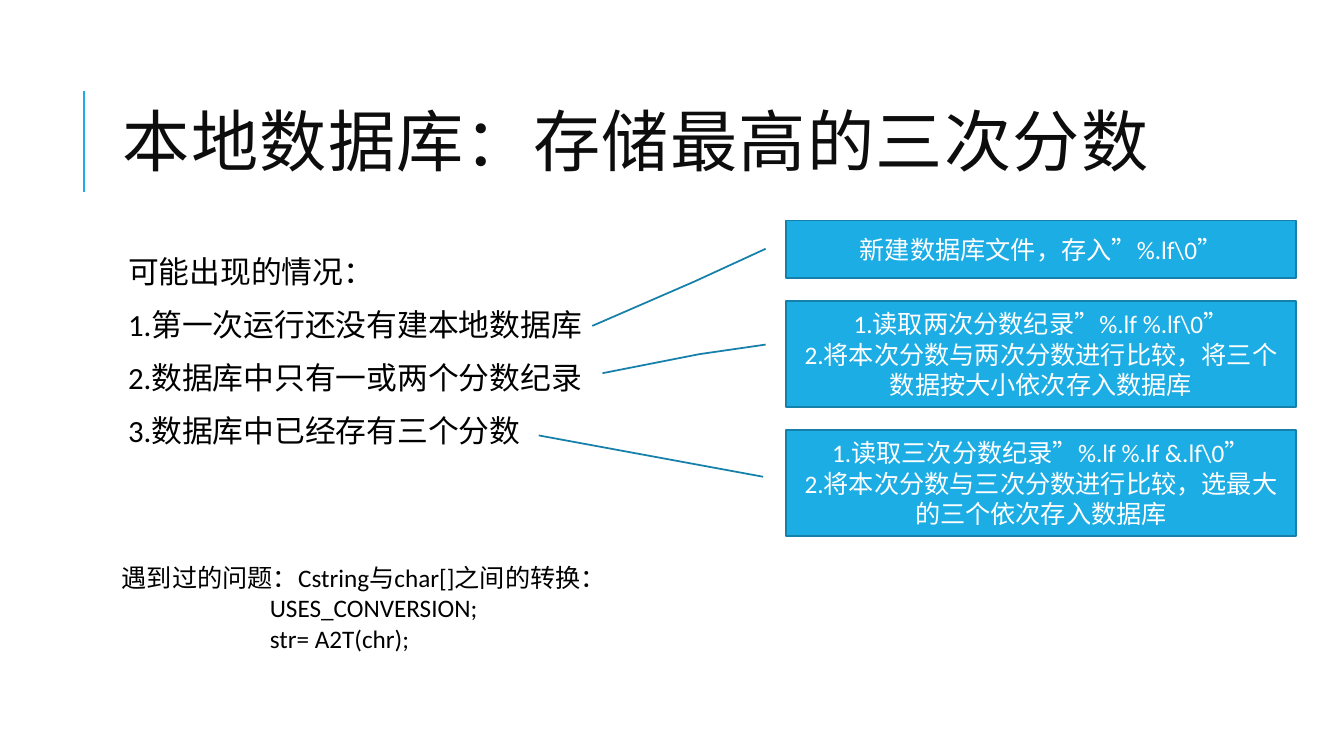
from dataclasses import dataclass
from typing import Any

from pptx import Presentation
from pptx import util as u
from pptx.dml.color import RGBColor
from pptx.enum import shapes, text
from pptx.oxml import parse_xml

FONT = "Calibri"
SKY = RGBColor(0x1C, 0xAD, 0xE4)
DEEP_SKY = RGBColor(0x15, 0x80, 0xA9)
INK = RGBColor(0x0D, 0x0D, 0x0D)
BLACK = RGBColor(0, 0, 0)
WHITE = RGBColor(0xFF, 0xFF, 0xFF)

ANSWER_LEFT, ANSWER_TOP, ANSWER_WIDTH, ANSWER_GAP = 19.81, 5.56, 12.85, 0.58
CODE_INDENT = 3.73
EMPTY_EFFECTS = (
    '<a:effectLst xmlns:a="http://schemas.openxmlformats.org/drawingml/2006/main"/>'
)


@dataclass(frozen=True)
class Style:
    size: float
    color: RGBColor
    paragraph: dict[str, Any]


@dataclass(frozen=True)
class Block:
    left: float
    top: float
    width: float
    height: float
    lines: list[str]
    style: Style
    frame: dict[str, Any]


@dataclass(frozen=True)
class Answer:
    height: float
    preset: shapes.MSO_SHAPE
    pointer: list[float]
    lines: list[str]


TITLE_STYLE = Style(48, INK, {"line_spacing": 0.8})
CASE_STYLE = Style(22, BLACK, {
    "line_spacing": 0.9, "space_before": u.Pt(12), "space_after": u.Pt(2)})
ISSUE_STYLE = Style(18, BLACK, {})
ANSWER_STYLE = Style(18, WHITE, {"alignment": text.PP_ALIGN.CENTER})

MIDDLE = {"word_wrap": True, "vertical_anchor": text.MSO_ANCHOR.MIDDLE}
# The left inset includes the hanging indent of the list
CASE_FRAME = {"word_wrap": True, "margin_left": u.Cm(0.39), "margin_right": u.Cm(0.13),
              "margin_top": u.Cm(0.13), "margin_bottom": u.Cm(0.13)}

TITLE = Block(2.84, 1.63, 27, 4.17, ["本地数据库：存储最高的三次分数"], TITLE_STYLE, MIDDLE)
CASES = Block(2.84, 6.35, 12.22, 5.38, [
    "可能出现的情况：",
    "1.第一次运行还没有建本地数据库",
    "2.数据库中只有一或两个分数纪录",
    "3.数据库中已经存有三个分数",
], CASE_STYLE, CASE_FRAME)
ISSUE = Block(2.82, 14.05, 31.04, 2.57, [
    "遇到过的问题：Cstring与char[]之间的转换：",
    "USES_CONVERSION;",
    "str= A2T(chr);",
], ISSUE_STYLE, {"word_wrap": True})

ANSWERS = [
    Answer(1.45, shapes.MSO_SHAPE.LINE_CALLOUT_2,
           [0.49, -0.04, 1.06, -0.18, 1.83, -0.38],
           ["新建数据库文件，存入”%.lf\\0”"]),
    Answer(2.67, shapes.MSO_SHAPE.LINE_CALLOUT_2,
           [0.41, -0.04, 0.5, -0.17, 0.68, -0.36],
           ["1.读取两次分数纪录”%.lf %.lf\\0”",
            "2.将本次分数与两次分数进行比较，将三个数据按大小依次存入数据库"]),
    Answer(2.67, shapes.MSO_SHAPE.LINE_CALLOUT_1,
           [0.44, -0.045, 0.05, -0.485],
           ["1.读取三次分数纪录”%.lf %.lf &.lf\\0”",
            "2.将本次分数与三次分数进行比较，选最大的三个依次存入数据库"]),
]


def apply(target: Any, values: dict[str, Any]) -> None:
    for name, value in values.items():
        setattr(target, name, value)


def write(frame: Any, lines: list[str], style: Style) -> None:
    for index, line in enumerate(lines):
        paragraph = frame.add_paragraph() if index else frame.paragraphs[0]
        apply(paragraph, style.paragraph)
        run = paragraph.add_run()
        run.text = line
        apply(run.font, {"name": FONT, "size": u.Pt(style.size)})
        run.font.color.rgb = style.color


def draw_block(slide: Any, block: Block) -> Any:
    box = slide.shapes.add_textbox(
        *map(u.Cm, (block.left, block.top, block.width, block.height)))
    apply(box.text_frame, block.frame)
    write(box.text_frame, block.lines, block.style)
    return box.text_frame


def draw_answer(slide: Any, answer: Answer, top: float) -> None:
    callout = slide.shapes.add_shape(
        answer.preset, u.Cm(ANSWER_LEFT), u.Cm(top), u.Cm(ANSWER_WIDTH), u.Cm(answer.height))
    for index, value in enumerate(answer.pointer):
        callout.adjustments[index] = value
    callout.shadow.inherit = False
    callout.fill.solid()
    callout.fill.fore_color.rgb = SKY
    callout.line.color.rgb = DEEP_SKY
    callout.line.width = u.Pt(1.25)
    apply(callout.text_frame, MIDDLE)
    write(callout.text_frame, answer.lines, ANSWER_STYLE)


def draw_title_bar(slide: Any) -> None:
    bar = slide.shapes.add_connector(
        shapes.MSO_CONNECTOR.STRAIGHT, u.Cm(2.12), u.Cm(4.83), u.Cm(2.12), u.Cm(2.29))
    bar.line.color.rgb = SKY
    bar.line.width = u.Pt(1.5)
    bar._element.spPr.append(parse_xml(EMPTY_EFFECTS))


def main() -> None:
    deck = Presentation()
    apply(deck, {"slide_width": u.Cm(33.87), "slide_height": u.Cm(19.05)})
    slide = deck.slides.add_slide(deck.slide_layouts[6])

    # Title with its accent bar and slightly open letters
    draw_title_bar(slide)
    title = draw_block(slide, TITLE)
    title.paragraphs[0].runs[0].font._element.set("spc", "100")

    # Possible cases on the left
    draw_block(slide, CASES)

    # Stack of answers on the right, each pointing at its case
    top = ANSWER_TOP
    for answer in ANSWERS:
        draw_answer(slide, answer, top)
        top += answer.height + ANSWER_GAP

    # Problem met, with its code lines indented
    issue = draw_block(slide, ISSUE)
    for code in issue.paragraphs[1:]:
        code._p.get_or_add_pPr().set("marL", str(u.Cm(CODE_INDENT)))

    deck.save("out.pptx")


if __name__ == "__main__":
    main()
